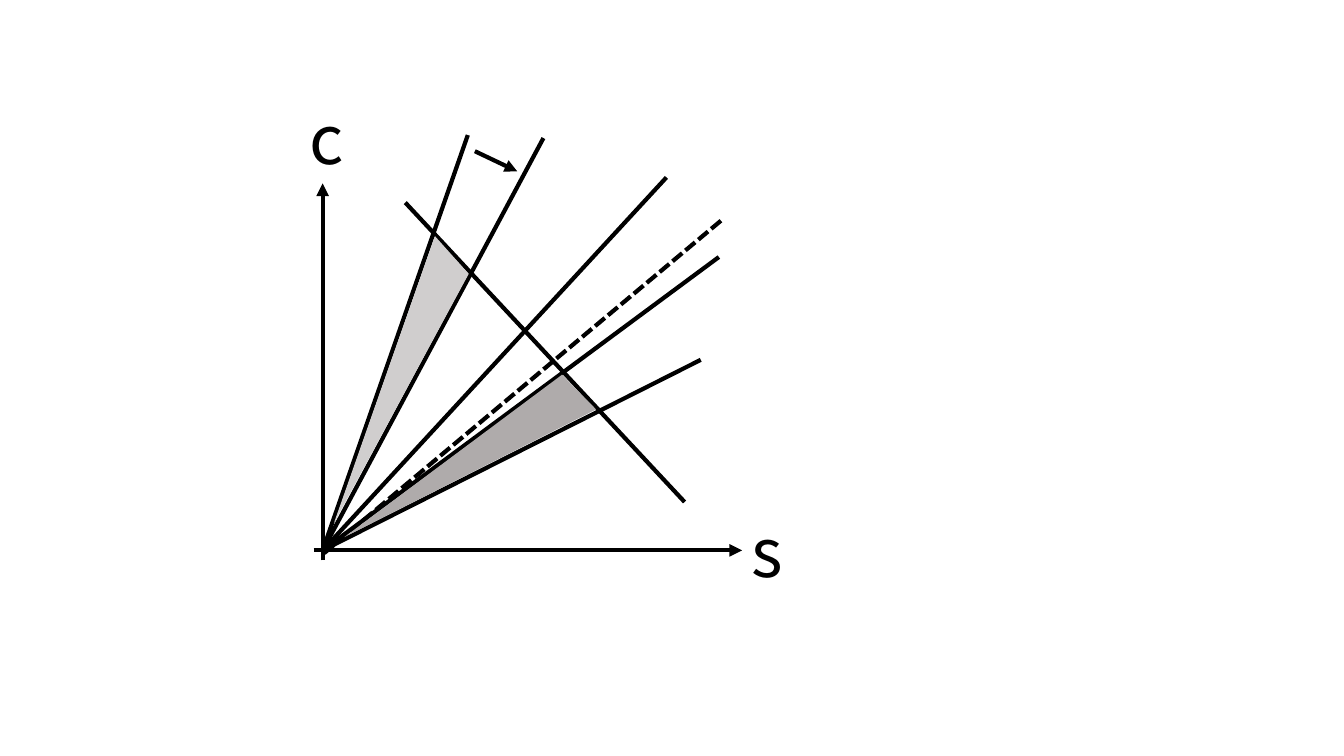
from pptx import Presentation
from pptx.dml.color import RGBColor as RGB
from pptx.enum.dml import MSO_LINE as Dash
from pptx.enum.shapes import MSO_CONNECTOR as Link, MSO_SHAPE as Shape
from pptx.enum.text import MSO_AUTO_SIZE as Fit
from pptx.oxml.ns import qn
from pptx.util import Inches, Pt
from lxml.etree import SubElement as Sub

INK = {"line": "000000", "light": "D0CECE", "dark": "AFABAB"}
FONT = "Noto Sans CJK SC"
GRID = 100

AXES = [((0, -2.5), (0, 91)), ((-2.25, 0), (104, 0))]
NAMES = [("c", -5.75, 113.5), ("s", 104, 11.25)]
RAYS = [(36, 103), (54.75, 102.25), (98.25, 72.75), (93.75, 47.25), (85.25, 92.5)]
WEDGES = [
    ("dark", -1, 30, 70, 11.5, 333.1, 0.948),
    ("light", -17.25, 46, 75.5, 11, 109.4, 0.08),
]


def place(box, col, row):
    left, top, wide, high = box
    return Inches(left + wide * col / GRID), Inches(top + high * (1 - row / GRID))


def scale(box, cols, rows):
    return Inches(box[2] * cols / GRID), Inches(box[3] * rows / GRID)


def rule(slide, box, start, end, arrow=False, dash=None):
    link = slide.shapes.add_connector(Link.STRAIGHT, *place(box, *start), *place(box, *end))
    link.line.color.rgb = RGB.from_string(INK["line"])
    link.line.width = Pt(3)
    if dash:
        link.line.dash_style = dash
    props = link._element.spPr
    if arrow:
        Sub(props.find(qn("a:ln")), qn("a:tailEnd"), type="triangle")
    Sub(props, qn("a:effectLst"))


def name(slide, box, text, col, row):
    area = slide.shapes.add_textbox(*place(box, col, row), *scale(box, 11.25, 22.75))
    frame = area.text_frame
    frame.word_wrap = False
    frame.auto_size = Fit.SHAPE_TO_FIT_TEXT
    para = frame.paragraphs[0]
    para.text = text
    para.font.name = FONT
    para.font.size = Pt(48)
    para.font.color.rgb = RGB.from_string(INK["line"])


def wedge(slide, box, tone, col, row, cols, rows, turn, peak):
    part = slide.shapes.add_shape(Shape.ISOSCELES_TRIANGLE, *place(box, col, row), *scale(box, cols, rows))
    part.adjustments[0] = peak
    part.rotation = turn
    part.shadow.inherit = False
    part.fill.solid()
    part.fill.fore_color.rgb = RGB.from_string(INK[tone])
    part.line.fill.background()


def plot(slide, box):
    for start, end in AXES:
        rule(slide, box, start, end, arrow=True)
    for label in NAMES:
        name(slide, box, *label)
    for tip in RAYS:
        rule(slide, box, tip, (0, 0))
    rule(slide, box, (89.75, 12), (20.5, 86.25))
    rule(slide, box, (98.75, 81.75), (0, -1), dash=Dash.SQUARE_DOT)
    for item in WEDGES:
        wedge(slide, box, *item)
    rule(slide, box, (37.75, 99), (48.25, 94), arrow=True)


def main():
    deck = Presentation()
    deck.slide_width = Inches(13.33)
    deck.slide_height = Inches(7.5)
    slide = deck.slides.add_slide(deck.slide_layouts[6])
    plot(slide, (3.2, 1.46, 4, 4))
    deck.save("out.pptx")


if __name__ == "__main__":
    main()
